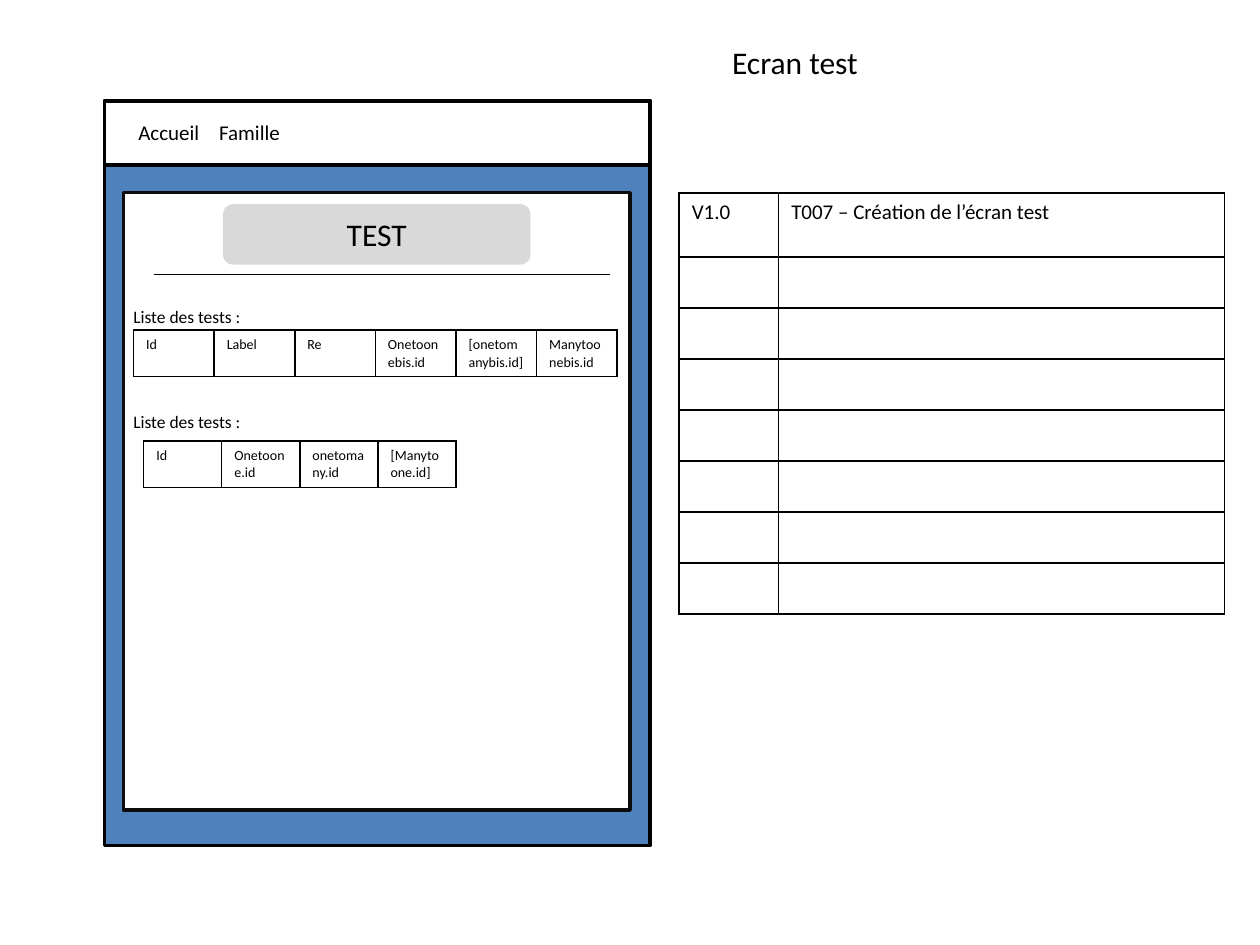
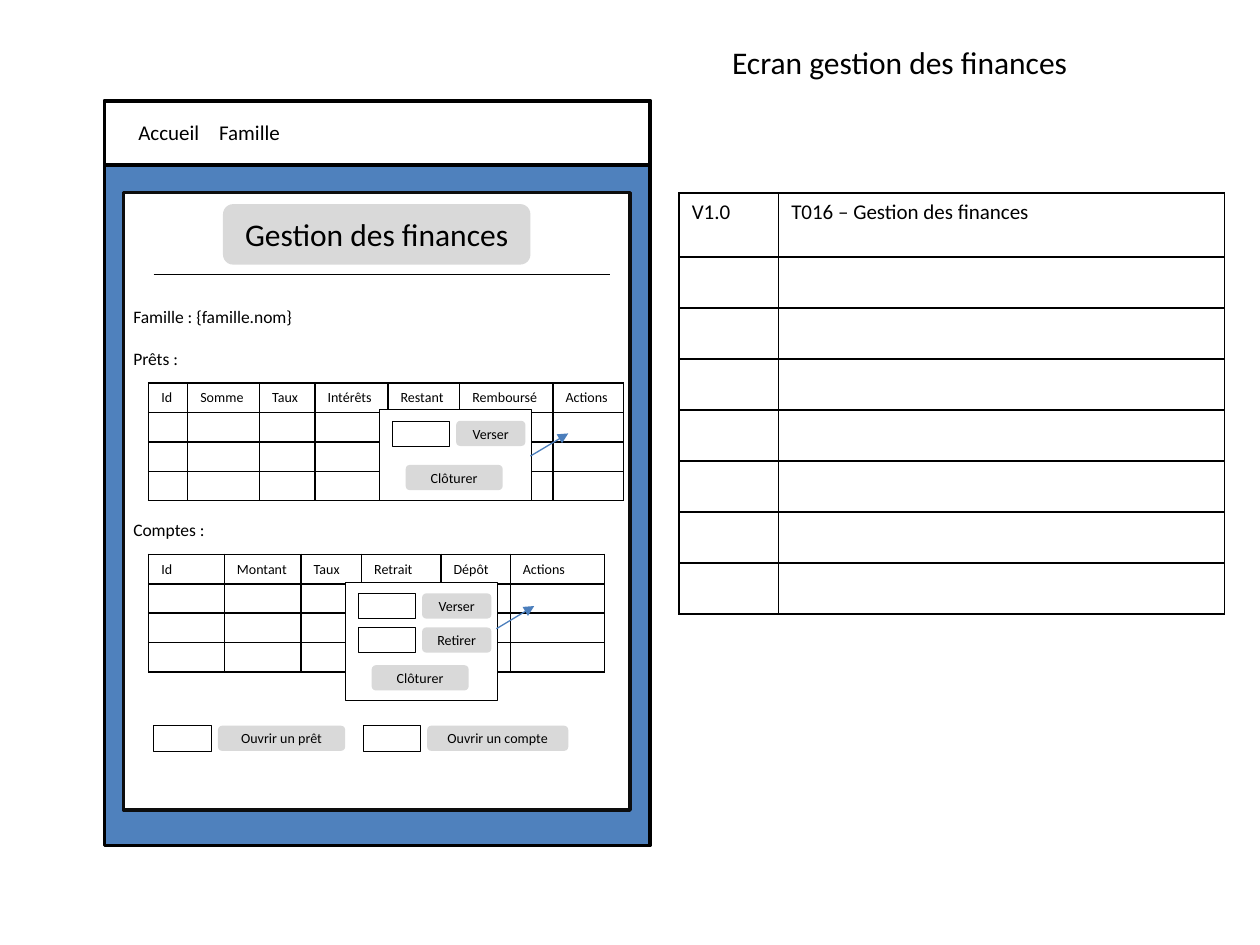
"""Build two annotated screen mock-ups, each with its revision table."""
from lxml import etree
from pptx import Presentation
from pptx import util as u
from pptx.dml.color import RGBColor
from pptx.enum import shapes, text
from pptx.oxml.ns import qn

COLOURS = {"ink": "000000", "panel": "0D0D0D", "white": "FFFFFF",
           "frame": "4F81BD", "button": "D9D9D9", "arrow": "4B7EBC"}
FONT = "Calibri"
RECT = shapes.MSO_SHAPE.RECTANGLE
ROUND = shapes.MSO_SHAPE.ROUNDED_RECTANGLE
BORDER = int(u.Pt(1))
FIELD_WIDTH = 0.46
FIELD_HEIGHT = 0.2

SCREENS = [
    {"title": "Ecran test", "heading": "TEST",
     "revision": "T007 – Création de l’écran test",
     "labels": [("Liste des tests :", 2.38), ("Liste des tests :", 3.21)],
     "tables": [
         (1.06, 2.62, [0.64] * 6, [0.37],
          ["Id", "Label", "Re", "Onetoonebis.id", "[onetomanybis.id]", "Manytoonebis.id"]),
         (1.14, 3.5, [0.62] * 4, [0.37],
          ["Id", "Onetoone.id", "onetomany.id", "[Manytoone.id]"])],
     "popups": [], "openers": []},
    {"title": "Ecran gestion des finances", "heading": "Gestion des finances",
     "revision": "T016 – Gestion des finances",
     "labels": [("Famille : {famille.nom}", 2.38), ("Prêts :", 2.71), ("Comptes :", 4.07)],
     "tables": [
         (1.18, 3.04, [0.31, 0.57, 0.44, 0.58, 0.57, 0.74, 0.56], [0.23] * 4,
          ["Id", "Somme", "Taux", "Intérêts", "Restant", "Remboursé", "Actions"]),
         (1.18, 4.4, [0.6, 0.61, 0.48, 0.63, 0.55, 0.75], [0.23] * 4,
          ["Id", "Montant", "Taux", "Retrait", "Dépôt", "Actions"])],
     "popups": [(3.01, 3.25, 0.72, ["Verser"]),
                (2.74, 4.62, 0.94, ["Verser", "Retirer"])],
     "openers": [("Ouvrir un prêt", 1.22, 1.01), ("Ouvrir un compte", 2.88, 1.12)]},
]


def write(frame, words, size, align=text.PP_ALIGN.LEFT):
    para = frame.paragraphs[0]
    para.alignment = align
    span = para.add_run()
    span.text = words
    span.font.name = FONT
    span.font.size = u.Pt(size)
    span.font.color.rgb = RGBColor.from_string(COLOURS["ink"])


def draw(parent, kind, left, top, width, height, fill, line=None, weight=0.25, words="", size=8):
    box = parent.add_shape(kind, *map(u.Inches, (left, top, width, height)))
    box.shadow.inherit = False
    box.fill.solid()
    box.fill.fore_color.rgb = RGBColor.from_string(COLOURS[fill])
    if line:
        box.line.color.rgb = RGBColor.from_string(COLOURS[line])
        box.line.width = u.Pt(weight)
    else:
        box.line.fill.background()
    if words:
        frame = box.text_frame
        frame.margin_left = frame.margin_right = frame.margin_top = frame.margin_bottom = 0
        frame.vertical_anchor = text.MSO_ANCHOR.MIDDLE
        frame.word_wrap = True
        write(frame, words, size, text.PP_ALIGN.CENTER)


deck = Presentation()
deck.slide_width = u.Inches(10)
deck.slide_height = u.Inches(7.5)

for screen in SCREENS:
    page = deck.slides.add_slide(deck.slide_layouts[5])

    title = page.shapes.title
    title.left, title.top, title.width, title.height = map(u.Inches, (5.71, 0.29, 3.07, 0.4))
    title.text_frame.vertical_anchor = text.MSO_ANCHOR.TOP
    title.text_frame.auto_size = text.MSO_AUTO_SIZE.NONE
    write(title.text_frame, screen["title"], 18)

    window = page.shapes.add_group_shape().shapes
    draw(window, RECT, 0.83, 0.8, 4.33, 5.91, "frame", "ink", 2)
    draw(window, RECT, 0.83, 0.8, 4.33, 0.51, "white", "ink", 2)
    draw(window, RECT, 0.98, 1.53, 4.02, 4.9, "white", "panel", 2)
    draw(window, ROUND, 1.77, 1.62, 2.44, 0.48, "button", words=screen["heading"], size=18)
    lines = [(window, (1.22, 2.18, 4.84, 2.18), "ink", False)]

    captions = [("Accueil", 0.83, 0.9, 1.02, 0.3, 12, text.PP_ALIGN.CENTER),
                ("Famille", 1.47, 0.9, 1.02, 0.3, 12, text.PP_ALIGN.CENTER)]
    for words, top in screen["labels"]:
        captions.append((words, 0.96, top, 3.54, 0.27, 10, text.PP_ALIGN.LEFT))
    for words, left, top, width, height, size, align in captions:
        box = page.shapes.add_textbox(*map(u.Inches, (left, top, width, height)))
        box.text_frame.word_wrap = True
        box.text_frame.auto_size = text.MSO_AUTO_SIZE.SHAPE_TO_FIT_TEXT
        write(box.text_frame, words, size, align)

    revisions = (5.39, 1.53, [0.79, 3.54], [0.51] + [0.405] * 7, ["V1.0", screen["revision"]])
    for left, top, widths, heights, headers in [revisions] + screen["tables"]:
        size = 12 if headers[0] == "V1.0" else 8
        area = map(u.Inches, (left, top, sum(widths), sum(heights)))
        table = page.shapes.add_table(len(heights), len(widths), *area).table
        table.first_row = table.horz_banding = False
        for column, width in zip(table.columns, widths):
            column.width = u.Inches(width)
        for row, height in zip(table.rows, heights):
            row.height = u.Inches(height)
        for cell in table.iter_cells():
            cell.fill.background()
            properties = cell._tc.get_or_add_tcPr()
            for place, side in enumerate(("lnL", "lnR", "lnT", "lnB")):
                edge = etree.Element(qn("a:" + side), w=str(BORDER))
                paint = etree.SubElement(edge, qn("a:solidFill"))
                etree.SubElement(paint, qn("a:srgbClr"), val=COLOURS["ink"])
                properties.insert(place, edge)
            blank = cell.text_frame.paragraphs[0]._p
            etree.SubElement(blank, qn("a:endParaRPr"), sz=str(size * 100))
        for column, words in enumerate(headers):
            write(table.cell(0, column).text_frame, words, size)

    for left, top, height, actions in screen["popups"]:
        popup = page.shapes.add_group_shape().shapes
        draw(popup, RECT, left, top, 1.21, height, "white", "ink")
        for index, action in enumerate(actions):
            level = top + 0.09 + 0.27 * index
            draw(popup, RECT, left + 0.1, level, FIELD_WIDTH, FIELD_HEIGHT, "white", "ink")
            draw(popup, ROUND, left + 0.61, level, 0.55, FIELD_HEIGHT, "button", words=action)
        draw(popup, ROUND, left + 0.21, top + height - 0.28, 0.77, FIELD_HEIGHT, "button",
             words="Clôturer")
        lines.append((popup, (left + 1.2, top + 0.37, left + 1.5, top + 0.19), "arrow", True))

    for words, left, width in screen["openers"]:
        draw(page.shapes, RECT, left, 5.76, FIELD_WIDTH, FIELD_HEIGHT, "white", "ink")
        draw(page.shapes, ROUND, left + 0.51, 5.76, width, FIELD_HEIGHT, "button", words=words)

    for parent, ends, colour, arrowhead in lines:
        line = parent.add_connector(shapes.MSO_CONNECTOR.STRAIGHT, *map(u.Inches, ends))
        line.line.color.rgb = RGBColor.from_string(COLOURS[colour])
        line.line.width = u.Pt(0.75)
        if arrowhead:
            etree.SubElement(line.line._get_or_add_ln(), qn("a:tailEnd"), type="triangle")
        etree.SubElement(line._element.spPr, qn("a:effectLst"))

deck.save("out.pptx")
